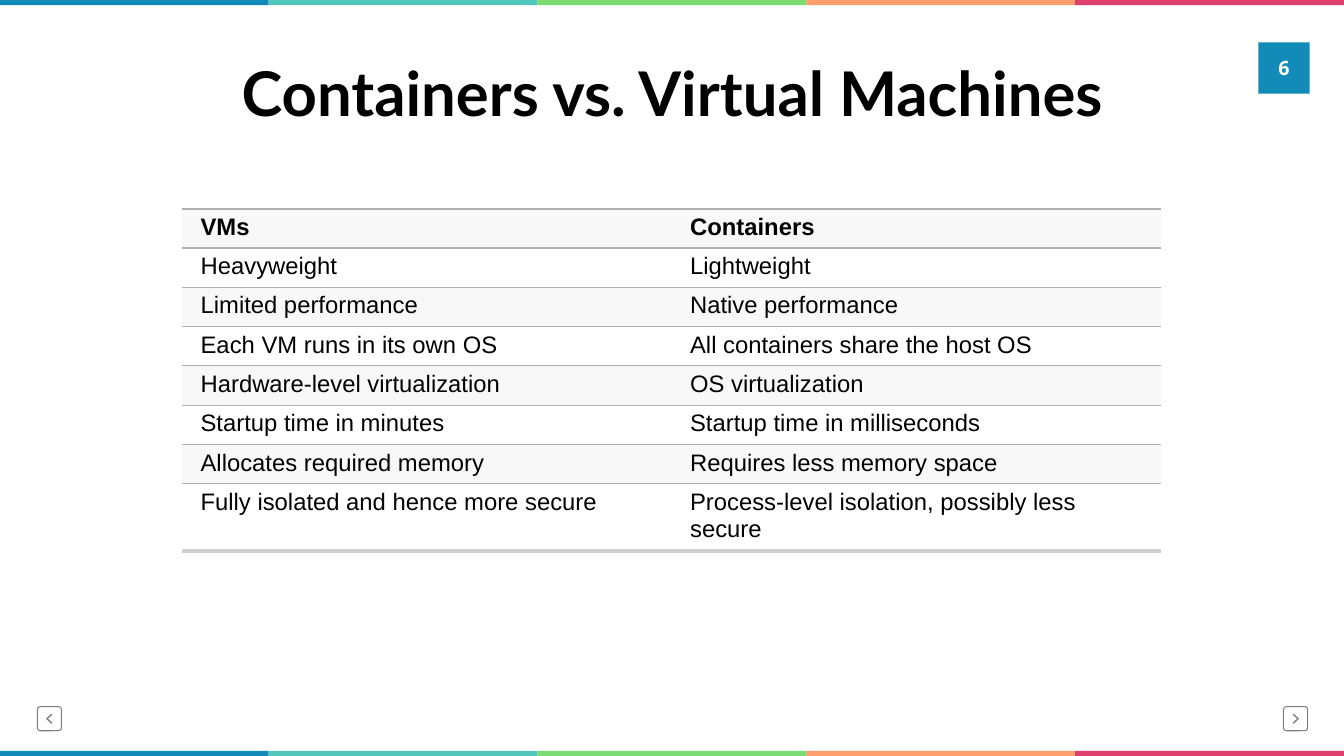
from lxml import etree
from pptx import Presentation
from pptx import util as u
from pptx.dml.color import RGBColor
from pptx.enum import shapes, text
from pptx.oxml import ns

WIDTH, HEIGHT = 13.33, 7.5
STRIPE_COLORS = ["138BB9", "51C7BB", "7ADC72", "FF9F6E", "DE406E"]
STRIPE_HEIGHT = 0.05
GRAY = "7F7F7F"
RULE, LAST_RULE = "B0B0B0", "D0D0D0"
ROW_HEIGHT, LAST_ROW_HEIGHT = 0.39, 0.67
ROWS = [
    ("VMs", "Containers"),
    ("Heavyweight", "Lightweight"),
    ("Limited performance", "Native performance"),
    ("Each VM runs in its own OS", "All containers share the host OS"),
    ("Hardware-level virtualization", "OS virtualization"),
    ("Startup time in minutes", "Startup time in milliseconds"),
    ("Allocates required memory", "Requires less memory space"),
    ("Fully isolated and hence more secure",
     "Process-level isolation, possibly less secure"),
]


def color(value):
    return RGBColor.from_string(value)


def inches(*lengths):
    return [u.Inches(length) for length in lengths]


def format_paragraph(paragraph, font, size, ink, bold=False, align=text.PP_ALIGN.LEFT):
    paragraph.alignment = align
    paragraph.font.name = font
    paragraph.font.size = u.Pt(size)
    paragraph.font.bold = bold
    paragraph.font.color.rgb = color(ink)


def add_block(slide, left, top, width, height, fill):
    shape = slide.shapes.add_shape(
        shapes.MSO_SHAPE.RECTANGLE, *inches(left, top, width, height))
    shape.shadow.inherit = False
    shape.fill.solid()
    shape.fill.fore_color.rgb = color(fill)
    shape.line.fill.background()
    return shape


def add_stripes(slide, top):
    width = WIDTH / len(STRIPE_COLORS)
    for index, fill in enumerate(STRIPE_COLORS):
        add_block(slide, index * width, top, width, STRIPE_HEIGHT, fill)


def outline(shape, weight):
    shape.shadow.inherit = False
    shape.fill.background()
    shape.line.color.rgb = color(GRAY)
    shape.line.width = u.Pt(weight)


def add_arrow_button(slide, center, direction):
    """Rounded button with a chevron; direction is -1 for left, 1 for right."""
    middle, side, reach = 7.13, 0.24, 0.025
    button = slide.shapes.add_shape(
        shapes.MSO_SHAPE.ROUNDED_RECTANGLE,
        *inches(center - side / 2, middle - side / 2, side, side))
    button.adjustments[0] = 0.13
    outline(button, 0.75)

    tail, tip = inches(center - direction * reach, center + direction * reach)
    upper, level, lower = inches(middle - 0.045, middle, middle + 0.045)
    builder = slide.shapes.build_freeform(tail, upper)
    builder.add_line_segments([(tip, level), (tail, lower)], close=False)
    outline(builder.convert_to_shape(), 1)


def add_title(slide, wording):
    title = slide.shapes.title
    title.left, title.top, title.width, title.height = inches(0.92, 0.46, 11.5, 1)
    title.text_frame.text = wording
    title.text_frame.vertical_anchor = text.MSO_ANCHOR.MIDDLE
    paragraph = title.text_frame.paragraphs[0]
    paragraph.line_spacing = 0.9
    format_paragraph(paragraph, "Lato", 44, "000000", True, text.PP_ALIGN.CENTER)


def add_page_number(slide, number):
    add_block(slide, 12.48, 0.42, 0.51, 0.51, STRIPE_COLORS[0])
    box = slide.shapes.add_textbox(*inches(12.46, 0.47, 0.55, 0.4))
    frame = box.text_frame
    frame.word_wrap = True
    frame.vertical_anchor = text.MSO_ANCHOR.MIDDLE
    frame.text = number
    format_paragraph(frame.paragraphs[0], "Open Sans", 14, "FFFFFF", True,
                     text.PP_ALIGN.CENTER)


def set_border(cell, side, ink=None, weight=0):
    properties = cell._tc.get_or_add_tcPr()
    line = etree.SubElement(properties, ns.qn("a:ln" + side), w=str(u.Pt(weight)))
    if ink is None:
        etree.SubElement(line, ns.qn("a:noFill"))
    else:
        fill = etree.SubElement(line, ns.qn("a:solidFill"))
        etree.SubElement(fill, ns.qn("a:srgbClr"), val=ink)


def rule_below(row):
    if row == len(ROWS) - 1:
        return LAST_RULE, 3
    return RULE, 1.5 if row <= 0 else 0.75


def fill_cell(cell, wording, row):
    cell.text = wording
    cell.margin_left = cell.margin_right = u.Inches(0.18)
    cell.margin_top = cell.margin_bottom = u.Inches(0.05)
    format_paragraph(cell.text_frame.paragraphs[0], "Arial", 17, "000000", row == 0)
    # Borders come before the fill in the cell properties
    set_border(cell, "L")
    set_border(cell, "R")
    set_border(cell, "T", *rule_below(row - 1))
    set_border(cell, "B", *rule_below(row))
    cell.fill.solid()
    cell.fill.fore_color.rgb = color("FFFFFF" if row % 2 else "F8F8F8")


def add_comparison(slide):
    width = 9.71
    height = ROW_HEIGHT * (len(ROWS) - 1) + LAST_ROW_HEIGHT
    table = slide.shapes.add_table(
        len(ROWS), 2, *inches((WIDTH - width) / 2, 2.07, width, height)).table
    for row, wordings in enumerate(ROWS):
        is_last = row == len(ROWS) - 1
        table.rows[row].height = u.Inches(LAST_ROW_HEIGHT if is_last else ROW_HEIGHT)
        for column, wording in enumerate(wordings):
            fill_cell(table.cell(row, column), wording, row)


def main():
    presentation = Presentation()
    presentation.slide_width, presentation.slide_height = inches(WIDTH, HEIGHT)
    slide = presentation.slides.add_slide(presentation.slide_layouts[5])

    # Frame: stripes and navigation buttons
    add_stripes(slide, HEIGHT - STRIPE_HEIGHT)
    add_stripes(slide, 0)
    add_arrow_button(slide, 0.49, -1)
    add_arrow_button(slide, 12.85, 1)

    # Content
    add_title(slide, "Containers vs. Virtual Machines")
    add_page_number(slide, "6")
    add_comparison(slide)
    presentation.save("out.pptx")


if __name__ == "__main__":
    main()
